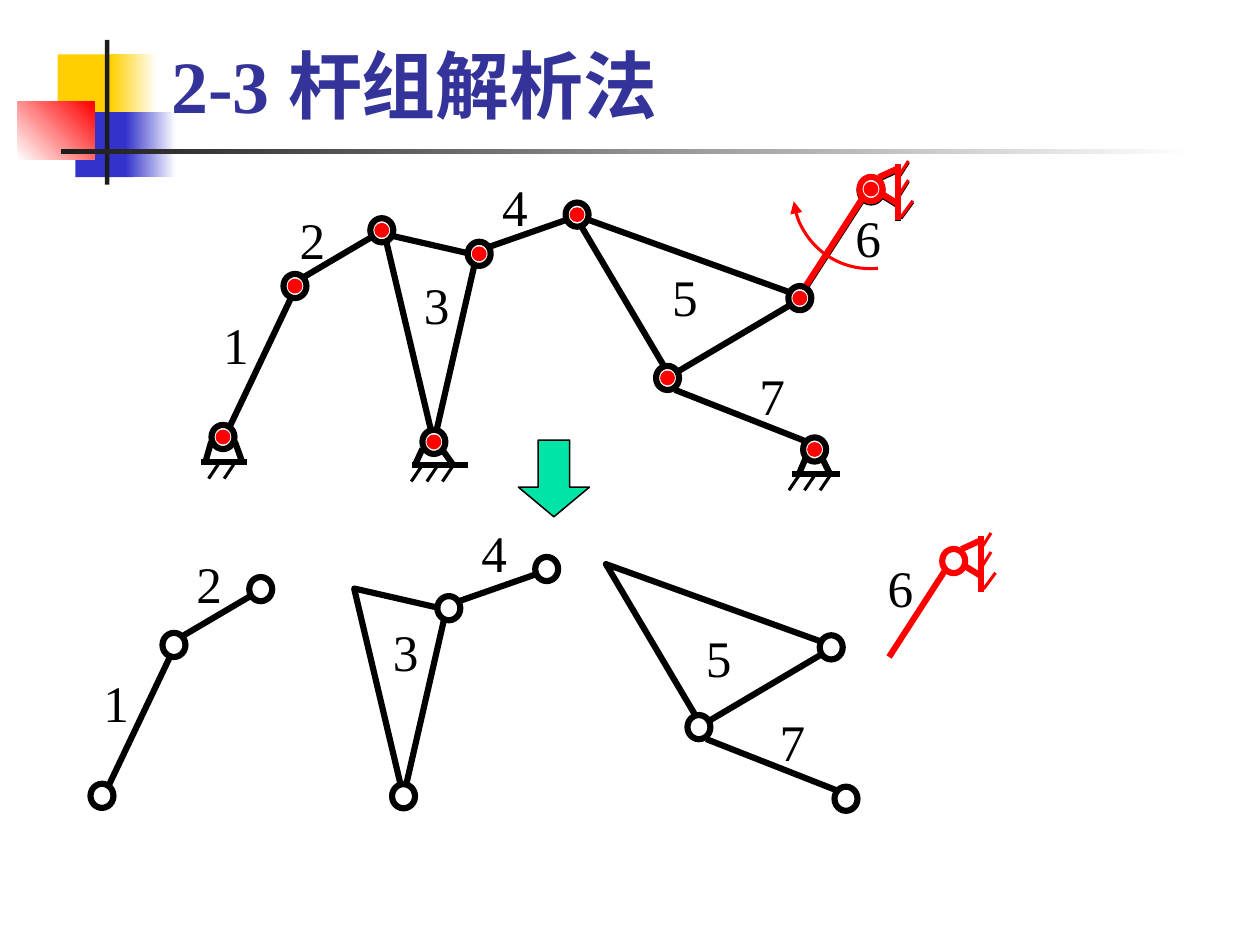
from lxml import etree
from pptx import Presentation
from pptx.dml.color import RGBColor
from pptx.enum.shapes import MSO_CONNECTOR, MSO_SHAPE
from pptx.enum.text import MSO_ANCHOR
from pptx.oxml.ns import qn
from pptx.util import Pt

RECTANGLE = MSO_SHAPE.RECTANGLE
ELLIPSE = MSO_SHAPE.OVAL
RIGHT_TRIANGLE = MSO_SHAPE.RIGHT_TRIANGLE
DOWN_ARROW = MSO_SHAPE.DOWN_ARROW
ARC = MSO_SHAPE.ARC
STRAIGHT = MSO_CONNECTOR.STRAIGHT

COLORS = {
    "black": "000000", "white": "FFFFFF", "red": "FF0000", "green": "00E4A8",
    "yellow": "FFCF01", "blue": "3333CC", "ink": "1C1C1C", "title": "333399",
}
FONT = "Times New Roman"
THICK, THIN, HAIR = 3, 1.5, 0.75
JOINT_WIDTH, JOINT_HEIGHT, DOT = 11.2, 11.8, 6.5
HATCH_PITCH = 7.6

# Rod groups of the linkage, in the coordinates of the assembled mechanism.
# A triangle is left, top, width, height, rotation.
CRANK = {
    "triangles": [],
    "links": [(112.3, 207.4, 141.8, 145.4), (147.6, 135.4, 180.7, 115.9)],
    "joints": [(108.7, 213.1), (143.8, 139.5), (186.1, 112.3)],
}
ROCKER = {
    "triangles": [(176.4, 118.1, 46.1, 93.6, 192.9)],
    "links": [(239, 120.2, 277.9, 106.6)],
    "joints": [(233.6, 123.8), (211.5, 215.5), (281.3, 104.7)],
}
COUPLER = {
    "triangles": [(298.1, 79.2, 75.6, 91.4, 329.4)],
    "links": [(329, 190.1, 393.1, 215.3)],
    "joints": [(325.4, 184.3), (389.9, 145.4), (397.1, 219.2)],
}
DRIVER = {
    "triangles": [],
    "links": [
        (393.1, 139, 421, 95.8), (437.8, 79.9, 437.8, 107.3),
        (428.4, 86.4, 437.8, 82.1), (428.4, 93.6, 437.8, 99.4),
    ],
    "joints": [(424.6, 92.2)],
    "hatches": [(442.8, 78.5, 437.8, 86.4), (442.8, 87.8, 437.8, 95.8),
                (445, 97.9, 439.2, 105.8)],
}
# Offset of each separated rod group, and its labels (number, left, top)
SEPARATED = [
    (CRANK, -59, 175, "black", [("1", 42.5, 324), ("2", 87.8, 265.7)]),
    (ROCKER, -14.8, 172.8, "black", [("3", 183.6, 298.8), ("4", 226.8, 250.6)]),
    (COUPLER, 15.3, 170.3, "black", [("5", 336.2, 301.7), ("7", 372.2, 342.7)]),
    (DRIVER, 40.3, 181.4, "red", [("6", 424.8, 267.8)]),
]
ASSEMBLED_LABELS = [
    ("1", 100.8, 149), ("2", 138.2, 97.9), ("3", 198.7, 129.6), ("4", 236.9, 82.1),
    ("5", 319.7, 126), ("6", 409, 97.2), ("7", 362.2, 174.2),
]
# Ground left, right, y; leg tops (left, right, y); leg feet; first hatch, hatch count
STANDS = [
    ((97.9, 120.2, 225.4), (103, 114.5, 215.3), (100.1, 118.1), 107.1, 2),
    ((200.9, 228.2, 226.8), (205.9, 215.3, 218.9), (202.3, 221), 205.9, 3),
    ((385.9, 409.7, 231.1), (393.1, 400.3, 222.5), (389.5, 404.6), 390, 3),
]


def color(name):
    return RGBColor.from_string(COLORS[name])


def add_form(shapes, kind, box, fill=None, line=None, weight=HAIR):
    """Add a preset shape; no fill or line name means none is drawn."""
    shape = shapes.add_shape(kind, *(Pt(value) for value in box))
    shape.shadow.inherit = False
    if fill:
        shape.fill.solid()
        shape.fill.fore_color.rgb = color(fill)
    else:
        shape.fill.background()
    if line:
        shape.line.color.rgb = color(line)
        shape.line.width = Pt(weight)
    else:
        shape.line.fill.background()
    return shape


def add_fade(shapes, box, first, last, angle=0):
    shape = add_form(shapes, RECTANGLE, box)
    shape.fill.gradient()
    shape.fill.gradient_angle = angle
    for stop, name in zip(shape.fill.gradient_stops, (first, last)):
        stop.color.rgb = color(name)


def add_line(shapes, ends, name, weight):
    line = shapes.add_connector(STRAIGHT, *(Pt(value) for value in ends))
    line.line.color.rgb = color(name)
    line.line.width = Pt(weight)
    etree.SubElement(line._element.spPr, qn("a:effectLst"))


def add_circle(shapes, center, width, height, fill, line, weight):
    x, y = center
    box = (x - width / 2, y - height / 2, width, height)
    add_form(shapes, ELLIPSE, box, fill, line, weight)


def add_text(shapes, text, box, size, name, insets, bold=False):
    text_box = shapes.add_textbox(*(Pt(value) for value in box))
    frame = text_box.text_frame
    frame.margin_left = frame.margin_right = Pt(insets[0])
    frame.margin_top = frame.margin_bottom = Pt(insets[1])
    run = frame.paragraphs[0].add_run()
    run.text = text
    run.font.name = FONT
    run.font.size = Pt(size)
    run.font.bold = bold
    run.font.color.rgb = color(name)
    return frame


def add_labels(shapes, labels):
    for number, left, top in labels:
        frame = add_text(shapes, number, (left, top, 27.4, 37.4), 25, "black", (7.9, 3.6))
        frame.word_wrap = False


def add_rod_group(slide, rods, dx, dy, name, labels=()):
    """Draw one rod group, moved by dx and dy, as a group shape."""
    shapes = slide.shapes.add_group_shape().shapes
    for left, top, width, height, rotation in rods["triangles"]:
        box = (left + dx, top + dy, width, height)
        add_form(shapes, RIGHT_TRIANGLE, box, "white", name, THICK).rotation = rotation
    for key, weight in (("hatches", THIN), ("links", THICK)):
        for x1, y1, x2, y2 in rods.get(key, []):
            add_line(shapes, (x1 + dx, y1 + dy, x2 + dx, y2 + dy), name, weight)
    for x, y in rods["joints"]:
        add_circle(shapes, (x + dx, y + dy), JOINT_WIDTH, JOINT_HEIGHT, "white", name, THICK)
    add_labels(shapes, labels)


def add_stand(slide, ground, leg_tops, feet, first_hatch, hatch_count):
    """Draw a fixed support: ground line, two legs and hatching."""
    shapes = slide.shapes.add_group_shape().shapes
    left, right, y = ground
    add_line(shapes, (left, y, right, y), "black", THICK)
    for top, foot in zip(leg_tops[:2], feet):
        add_line(shapes, (top, leg_tops[2], foot, y), "black", THICK)
    for index in range(hatch_count):
        x = first_hatch + index * HATCH_PITCH
        add_line(shapes, (x, y, x - 5.4, y + 8), "black", THIN)


def add_decoration(slide):
    shapes = slide.shapes
    add_form(shapes, RECTANGLE, (28.1, 26.6, 29.5, 31.7), "yellow")
    add_fade(shapes, (54, 26.6, 22.3, 31.7), "yellow", "white")
    add_form(shapes, RECTANGLE, (36.7, 54.7, 28.1, 31.7), "blue")
    add_fade(shapes, (61.2, 54.7, 24.5, 31.7), "blue", "white")
    add_fade(shapes, (8.6, 49.7, 37.4, 28.1), "white", "red", 45)
    add_form(shapes, RECTANGLE, (51.1, 19.4, 2.2, 70.6), "ink")
    add_fade(shapes, (29.5, 72.7, 553, 2.2), "ink", "white")


def add_rotation_arrow(slide):
    arc = add_form(slide.shapes, ARC, (386.7, 56.2, 74.8, 74.8), None, "red", THIN)
    for index, degrees in enumerate((84, 173)):
        arc.adjustments[index] = degrees * 0.6  # 60000 units a degree, scaled by 100000
    etree.SubElement(arc.line._get_or_add_ln(), qn("a:tailEnd"), type="triangle")


def main():
    presentation = Presentation()
    presentation.slide_width, presentation.slide_height = Pt(614.2), Pt(460.8)
    slide = presentation.slides.add_slide(presentation.slide_layouts[6])

    add_decoration(slide)
    for stand in STANDS:
        add_stand(slide, *stand)
    for rods in (COUPLER, ROCKER, CRANK):
        add_rod_group(slide, rods, 0, 0, "black")
    add_rod_group(slide, DRIVER, 0, 0.7, "black")
    add_rod_group(slide, DRIVER, 0, 0, "red")
    for rods in (CRANK, ROCKER, COUPLER, DRIVER):
        for center in rods["joints"]:
            add_circle(slide.shapes, center, DOT, DOT, "red", "red", HAIR)
    add_rotation_arrow(slide)
    add_labels(slide.shapes, ASSEMBLED_LABELS)

    arrow = add_form(slide.shapes, DOWN_ARROW, (252.7, 214.6, 34.6, 37.4), "green", "black")
    arrow.adjustments[0], arrow.adjustments[1] = 0.444, 0.417
    for separated in SEPARATED:
        add_rod_group(slide, *separated)

    title = add_text(slide.shapes, "2-3 杆组解析法", (77, 15.8, 523.4, 49.7), 36, "title",
                     (6.5, 2.9), bold=True)
    title.word_wrap = True
    title.vertical_anchor = MSO_ANCHOR.BOTTOM
    presentation.save("out.pptx")


if __name__ == "__main__":
    main()
